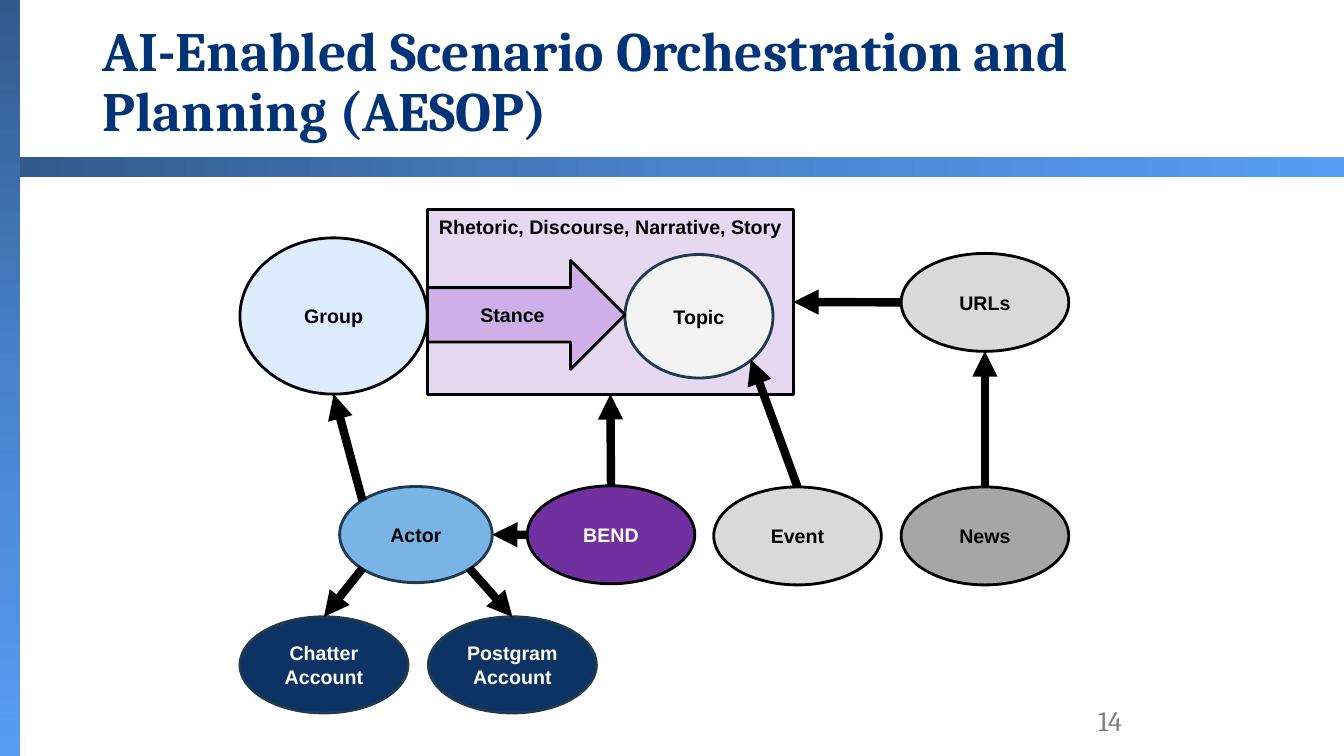
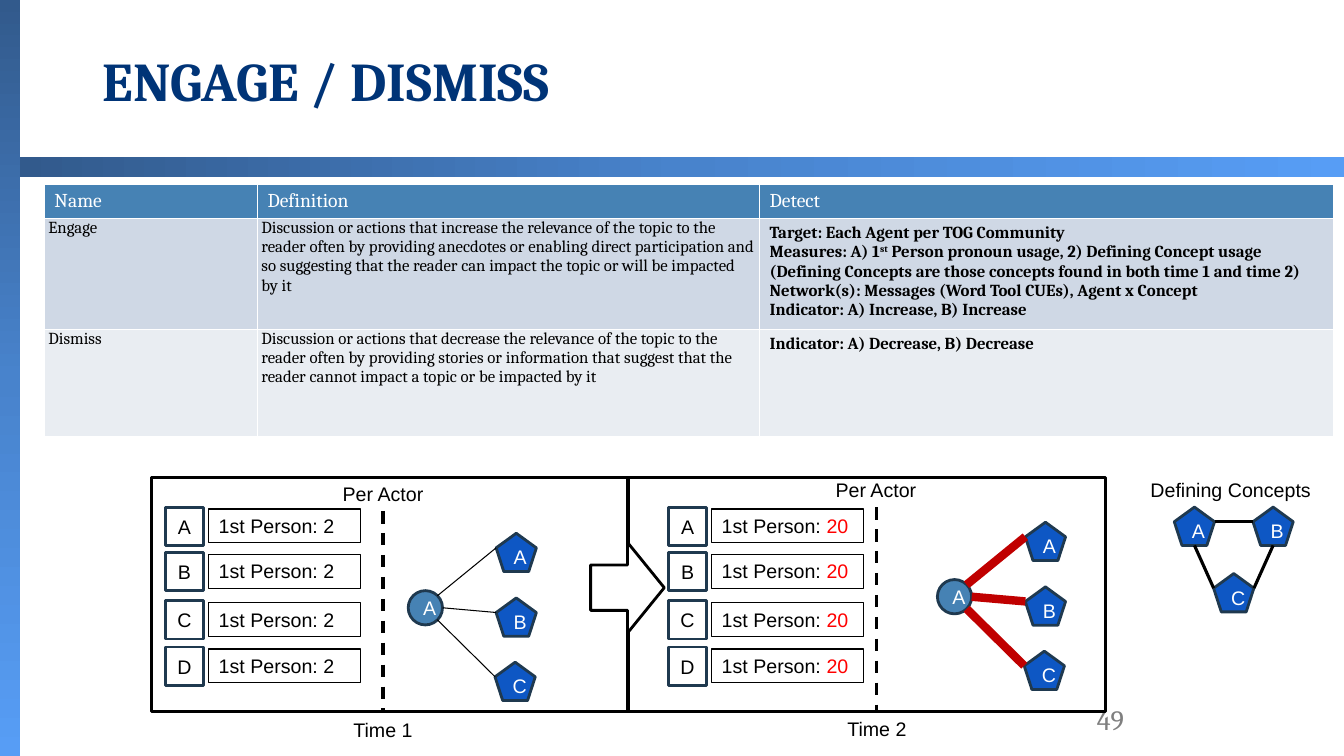
from copy import deepcopy

from lxml.etree import SubElement
from pptx import Presentation
from pptx.dml.color import RGBColor
from pptx.enum.dml import MSO_LINE
from pptx.enum.shapes import MSO_CONNECTOR, MSO_SHAPE as SHAPE
from pptx.enum.text import MSO_ANCHOR as ANCHOR, MSO_AUTO_SIZE, PP_ALIGN as ALIGN
from pptx.oxml.ns import qn
from pptx.util import Pt

COLORS = {
    "black": "000000", "white": "FFFFFF", "title": "003477", "number": "7F7F7F",
    "band_dark": "325A8C", "band_mid": "4883CC", "band_light": "579DF5",
    "outline": "1F394F", "group": "DDECFF", "actor": "78B5E6", "account": "0C3363",
    "frame": "E7D8F2", "stance": "CFAFE7", "topic": "F2F2F2", "event": "D9D9D9",
    "news": "A6A6A6", "bend": "7030A0", "steel": "4682B4", "concept": "0E57C4",
    "row_dark": "CFD8E5", "row_light": "E9EDF2", "red": "FF0000", "strong": "C00000",
}

# Points on a shape's outline, as fractions of its width and height
SIDES = {
    "top": (0.5, 0), "bottom": (0.5, 1), "left": (0, 0.5), "right": (1, 0.5),
    "top_left": (0.15, 0.15), "top_right": (0.85, 0.15),
    "bottom_left": (0.15, 0.85), "bottom_right": (0.85, 0.85),
    "left_vertex": (0, 0.38), "right_vertex": (1, 0.38),
}


def rgb(name):
    return RGBColor.from_string(COLORS[name])


def site(shape, side):
    across, down = SIDES[side]
    return (shape.left.pt + across * shape.width.pt,
            shape.top.pt + down * shape.height.pt)


class Deck:
    """Shared style and the slide being built."""

    heading_font = "Cambria"
    body_font = "Arial"
    body_size = 14

    def __init__(self):
        self.presentation = Presentation()
        self.presentation.slide_width = Pt(960)
        self.presentation.slide_height = Pt(540)
        self.slide = None

    def add_slide(self, title, number, number_at, title_size):
        layout = self.presentation.slide_layouts[6]
        self.slide = self.presentation.slides.add_slide(layout)
        self.band((0, 0, 14.4, 540), 270)
        self.band((14.4, 112.3, 945.6, 14.4), 0)
        heading = self.text(title, (66.2, 11.5, 828, 96.5), size=title_size,
                            color="title", font=self.heading_font, bold=True)
        heading.text_frame.paragraphs[0].line_spacing = 0.9
        self.text(number, (*number_at, 130.3, 28.8), size=20, color="number",
                  font=self.heading_font, align=ALIGN.RIGHT)

    def band(self, box, angle):
        band = self.shape(SHAPE.RECTANGLE, box, line=None)
        band.fill.gradient()
        band.fill.gradient_angle = angle
        stops = band._element.spPr.find(".//" + qn("a:gsLst"))
        stops.append(deepcopy(stops[0]))
        names = ("band_dark", "band_mid", "band_light")
        for index, stop in enumerate(band.fill.gradient_stops):
            stop.position = index / 2
            stop.color.rgb = rgb(names[index])

    def style(self, paragraph, size=None, color="black", font=None, bold=False,
              align=ALIGN.LEFT):
        paragraph.alignment = align
        for run in paragraph.runs:
            run.font.size = Pt(size or self.body_size)
            run.font.name = font or self.body_font
            run.font.bold = bold
            run.font.color.rgb = rgb(color)

    def text(self, text, box, **style):
        shape = self.slide.shapes.add_textbox(*map(Pt, box))
        frame = shape.text_frame
        frame.word_wrap = True
        frame.vertical_anchor = ANCHOR.MIDDLE
        frame.text = text
        self.style(frame.paragraphs[0], **style)
        return shape

    def label(self, text, left, top, width):
        frame = self.text(text, (left, top, width, 24.2), align=ALIGN.CENTER).text_frame
        frame.word_wrap = False
        frame.vertical_anchor = ANCHOR.TOP
        frame.auto_size = MSO_AUTO_SIZE.SHAPE_TO_FIT_TEXT

    def shape(self, kind, box, text="", fill=None, line="black", weight=2,
              anchor=ANCHOR.MIDDLE, align=ALIGN.CENTER, **style):
        shape = self.slide.shapes.add_shape(kind, *map(Pt, box))
        shape.shadow.inherit = False
        if fill:
            shape.fill.solid()
            shape.fill.fore_color.rgb = rgb(fill)
        else:
            shape.fill.background()
        if line:
            shape.line.color.rgb = rgb(line)
            shape.line.width = Pt(weight)
        else:
            shape.line.fill.background()
        if text:
            frame = shape.text_frame
            frame.word_wrap = True
            frame.vertical_anchor = anchor
            frame.text = text
            self.style(frame.paragraphs[0], align=align, **style)
        return shape

    def line(self, start, end, color="black", weight=2.25, dashed=False, arrow=False):
        connector = self.slide.shapes.add_connector(
            MSO_CONNECTOR.STRAIGHT, *map(Pt, (*start, *end)))
        connector.line.color.rgb = rgb(color)
        connector.line.width = Pt(weight)
        if dashed:
            connector.line.dash_style = MSO_LINE.DASH
        properties = connector._element.spPr
        if arrow:
            SubElement(properties.find(qn("a:ln")), qn("a:tailEnd"), type="triangle")
        SubElement(properties, qn("a:effectLst"))

    def link(self, first, first_side, second, second_side, **style):
        self.line(site(first, first_side), site(second, second_side), **style)

    def arrow(self, *ends):
        self.link(*ends, weight=6, arrow=True)

    def concept(self, letter, left, top):
        return self.shape(SHAPE.REGULAR_PENTAGON, (left, top, 28.8, 27.4), letter,
                          "concept", "outline", color="white")

    def table(self, box, widths, heights, rows):
        table = self.slide.shapes.add_table(
            len(rows), len(widths), *map(Pt, box)).table
        table.first_row = table.horz_banding = False
        for column, width in zip(table.columns, widths):
            column.width = Pt(width)
        for row, height in zip(table.rows, heights):
            row.height = Pt(height)
        for row_index, texts in enumerate(rows):
            for column_index, text in enumerate(texts):
                self.cell(table.cell(row_index, column_index), text, row_index,
                          detail=column_index == 2)
        return table

    def cell(self, cell, text, row_index, detail):
        properties = cell._tc.get_or_add_tcPr()
        for edge in ("lnL", "lnR", "lnT", "lnB"):
            border = SubElement(properties, qn("a:" + edge), w=str(Pt(1)))
            solid = SubElement(border, qn("a:solidFill"))
            SubElement(solid, qn("a:srgbClr"), val=COLORS["white"])
        cell.fill.solid()
        cell.fill.fore_color.rgb = rgb(("steel", "row_dark", "row_light")[row_index])
        header = row_index == 0
        if not header and not detail:
            cell.margin_left = cell.margin_right = Pt(2.9)
            cell.margin_top = cell.margin_bottom = Pt(0)
        cell.text_frame.text = text
        for paragraph in cell.text_frame.paragraphs:
            self.style(paragraph, size=14 if header else 12, font=self.heading_font,
                       color="white" if header else "black",
                       bold=detail and not header)


def scenario_slide(deck):
    deck.add_slide("AI-Enabled Scenario Orchestration and Planning (AESOP)", "14",
                   (678.2, 500.4), 39.6)

    def node(text, box, fill, line="black", color="black", kind=SHAPE.OVAL, **style):
        return deck.shape(kind, box, text, fill, line, color=color, bold=True, **style)

    # Actors and their accounts
    group = node("Group", (171.4, 169.9, 133.9, 111.6), "group")
    actor = node("Actor", (242.6, 347.5, 109, 68.7), "actor", "outline")
    accounts = [node(f"{service} Account", (left, 440.6, 120, 68.7), "account",
                     "outline", "white")
                for service, left in (("Chatter", 171.4), ("Postgram", 306))]
    deck.arrow(actor, "bottom_right", accounts[1], "top")
    deck.arrow(actor, "bottom_left", accounts[0], "top")
    deck.arrow(actor, "top_left", group, "bottom")

    # Stance towards a topic
    frame = node("Rhetoric, Discourse, Narrative, Story", (305.3, 149.8, 261.4, 131.8),
                 "frame", kind=SHAPE.RECTANGLE, anchor=ANCHOR.TOP)
    topic = node("Topic", (446.4, 181.8, 105.8, 88.2), "topic", "outline")
    node("Stance", (305.3, 186, 141.1, 77.8), "stance", kind=SHAPE.RIGHT_ARROW)

    # Sources and influences
    event, news, urls, bend = [
        node(text, (left, top, 119.7, 70), fill, color=color)
        for text, left, top, fill, color in (
            ("Event", 509.8, 347.8, "event", "black"),
            ("News", 643.7, 347.8, "news", "black"),
            ("URLs", 643.7, 181, "event", "black"),
            ("BEND", 376.6, 347, "bend", "white"))]
    deck.arrow(event, "top", topic, "bottom_right")
    deck.arrow(news, "top", urls, "bottom")
    deck.arrow(urls, "left", frame, "right")
    deck.arrow(bend, "left", actor, "right")
    deck.arrow(bend, "top", frame, "bottom")


def time_panel(deck, left, label_at, time_at, divider, circle_at, count,
               count_color, link_color, link_weight):
    # Pronoun counts
    for letter, top in zip("ABCD", (362.2, 394.6, 429.1, 462.2)):
        deck.shape(SHAPE.RECTANGLE, (left, top, 27.4, 27.4), letter, line="outline")
        box = deck.shape(SHAPE.RECTANGLE, (left + 31, top + 1.4, 108.7, 24.2),
                         "1st Person: ", weight=0.75, anchor=ANCHOR.TOP,
                         align=ALIGN.LEFT)
        paragraph = box.text_frame.paragraphs[0]
        paragraph.add_run().text = count
        deck.style(paragraph)
        paragraph.runs[1].font.color.rgb = rgb(count_color)

    # Labels and divider
    deck.label("Per Actor", *label_at, 73.4)
    deck.label(time_at[0], *time_at[1:], 57.6)
    x, top = divider
    deck.line((x, top), (x, 508.5), dashed=True)

    # Agent linked to concepts
    x, y = circle_at
    agent = deck.shape(SHAPE.OVAL, (x, y, 24.5, 24.5), "A", "steel", "outline",
                       color="white")
    for letter, across, down, side in (("A", 62.8, -41, "top_right"),
                                       ("B", 62.8, 5.2, "right"),
                                       ("C", 62, 51.1, "bottom_right")):
        concept = deck.concept(letter, x + across, y + down)
        deck.link(agent, side, concept, "left_vertex", color=link_color,
                  weight=link_weight)


def engage_slide(deck):
    deck.add_slide("ENGAGE / DISMISS", "49", (679.7, 499.7), 39)

    # Definitions
    table = deck.table((31.7, 131.8, 920.9, 180), (152.2, 358.7, 410), (21.6, 77, 77), (
        ("Name", "Definition", "Detect"),
        ("Engage",
         "Discussion or actions that increase the relevance of the topic to the reader "
         "often by providing anecdotes or enabling direct participation and so "
         "suggesting that the reader can impact the topic or will be impacted by it",
         "Target: Each Agent per TOG Community\n"
         "Measures: A) 1\n"
         "Network(s): Messages (Word Tool CUEs), Agent x Concept\n"
         "Indicator: A) Increase, B) Increase"),
        ("Dismiss",
         "Discussion or actions that decrease the relevance of the topic to the reader "
         "often by providing stories or information that suggest that the reader "
         "cannot impact a topic or be impacted by it",
         "Indicator: A) Decrease, B) Decrease")))
    measures = table.cell(1, 2).text_frame.paragraphs[1]
    for text in ("st", " Person pronoun usage, 2) Defining Concept usage (Defining "
                 "Concepts are those concepts found in both time 1 and time 2)"):
        measures.add_run().text = text
    deck.style(measures, size=12, font=deck.heading_font, bold=True)
    measures.runs[1]._r.get_or_add_rPr().set("baseline", "30000")

    # Two points in time
    deck.shape(SHAPE.RECTANGLE, (108, 341.3, 681.8, 167))
    deck.line((448.6, 341.3), (448.6, 508.3))
    deck.shape(SHAPE.RIGHT_ARROW, (421.9, 387.4, 52.6, 64.8), fill="white")
    time_panel(deck, 118.1, (236.9, 340.6), ("Time 1", 244.8, 509), (273.6, 365),
               (291.6, 421.9), "2", "black", "black", 0.75)
    time_panel(deck, 477.4, (589, 337.7), ("Time 2", 597.6, 508.3), (626, 362.2),
               (669.6, 414), "20", "red", "strong", 6)

    # Defining concepts
    deck.label("Defining Concepts", 814.3, 337.7, 129.6)
    first, second, third = [deck.concept(*concept) for concept in (
        ("A", 838.8, 362.2), ("B", 895, 362.2), ("C", 866.9, 409.7))]
    deck.link(third, "left_vertex", first, "bottom")
    deck.link(third, "right_vertex", second, "bottom")
    deck.link(second, "left_vertex", first, "right_vertex")


def main():
    deck = Deck()
    scenario_slide(deck)
    engage_slide(deck)
    deck.presentation.save("out.pptx")


if __name__ == "__main__":
    main()
